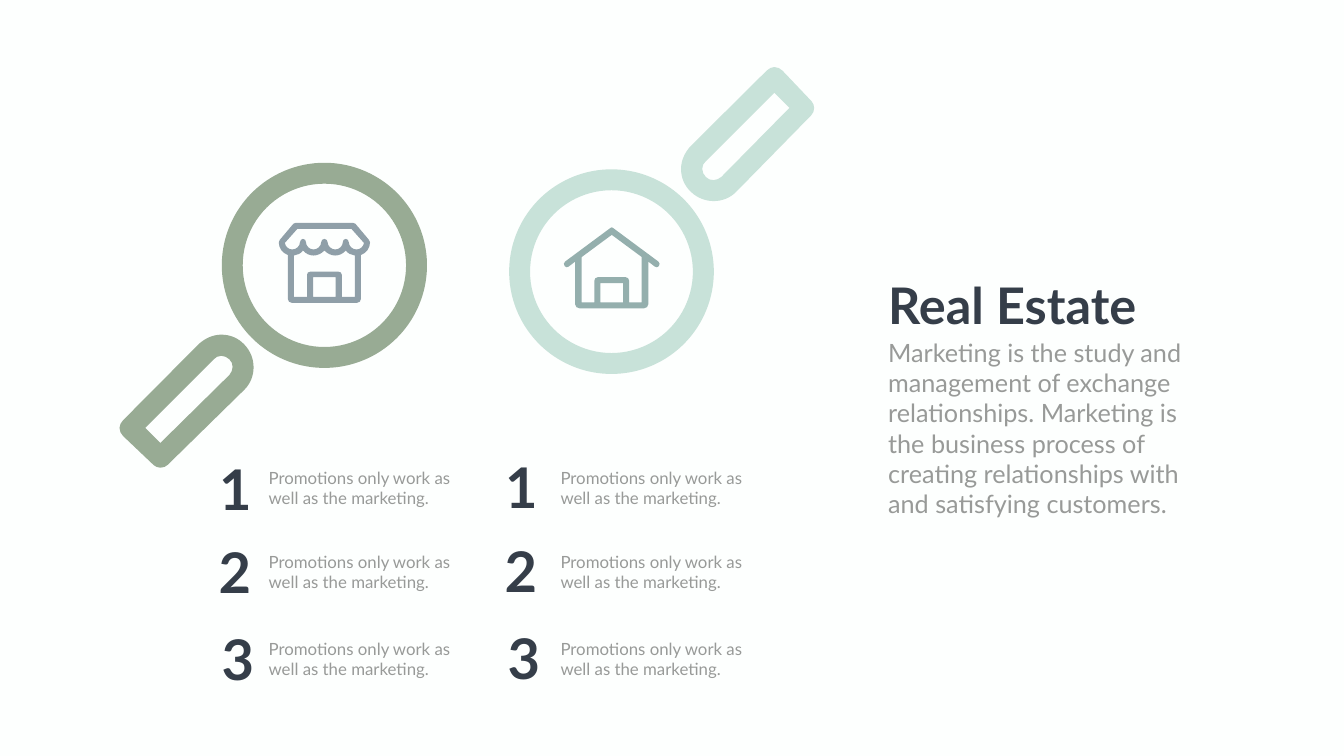
from lxml.etree import SubElement
from pptx import Presentation
from pptx.dml.color import RGBColor
from pptx.enum.shapes import MSO_SHAPE as SHAPE
from pptx.enum.text import MSO_AUTO_SIZE as AUTO
from pptx.oxml.ns import qn
from pptx.util import Inches, Pt

DARK, GREY = "353E49", "989A98"
SAGE, MINT = "98AB94", "C8E2D9"
NOTE = "Promotions only work as well as the marketing."
INTRO = ("Marketing is the study and management of exchange relationships. "
         "Marketing is the business process of creating relationships with "
         "and satisfying customers.")

HANDLE = [
    [(.68, 2.59), (.07, 2.01), (.03, 1.97, 0, 1.91, 0, 1.85),
     (0, 1.8, .03, 1.74, .07, 1.7), (1.57, .19), (1.7, .07, 1.86, 0, 2.02, 0),
     (2.2, 0, 2.36, .07, 2.48, .2), (2.72, .45, 2.72, .85, 2.48, 1.09),
     (.96, 2.58), (.92, 2.62, .87, 2.64, .81, 2.64),
     (.76, 2.64, .72, 2.62, .68, 2.59)],
    [(1.87, .49), (.51, 1.85), (.81, 2.15), (2.18, .8),
     (2.26, .71, 2.27, .57, 2.18, .49), (2.14, .45, 2.08, .42, 2.02, .42),
     (1.96, .42, 1.9, .45, 1.87, .49)],
]
STORE_HALF = [
    [(.905, 0), (.34, 0), (.32, 0, .3, .01, .29, .02), (.02, .34),
     (.01, .36, 0, .37, 0, .39), (0, .5, .07, .6, .18, .64), (.18, 1.51),
     (.18, 1.55, .21, 1.59, .26, 1.59), (.905, 1.59)],
    [(.905, 1.08), (.68, 1.08), (.68, 1.47), (.905, 1.47)],
    [(.905, .97), (.63, .97), (.59, .97, .56, .99, .56, 1.03), (.56, 1.47),
     (.3, 1.47), (.3, .65), (.37, .64, .44, .61, .48, .55),
     (.53, .61, .61, .65, .69, .65), (.77, .65, .85, .61, .905, .55)],
    [(.905, .12), (.37, .12), (.12, .4), (.13, .47, .19, .53, .27, .53),
     (.35, .53, .42, .46, .42, .39), (.42, .35, .45, .32, .48, .32),
     (.52, .32, .54, .35, .54, .39), (.54, .46, .61, .53, .69, .53),
     (.77, .53, .84, .46, .84, .39), (.84, .35, .87, .32, .905, .32)],
]
HOUSE_HALF = [
    [(.955, 0), (.94, 0, .93, .01, .92, .02), (.03, .68),
     (0, .7, 0, .74, .02, .77), (.04, .8, .08, .8, .1, .78), (.23, .68),
     (.23, 1.53), (.23, 1.57, .27, 1.61, .32, 1.61), (.955, 1.61)],
    [(.955, 1.11), (.73, 1.11), (.73, 1.49), (.955, 1.49)],
    [(.955, .99), (.68, .99), (.64, .99, .61, 1.02, .61, 1.06), (.61, 1.49),
     (.36, 1.49), (.36, .59), (.955, .15)],
]


def rgb(value):
    return RGBColor.from_string(value)


def paint(sp, color):
    sp.shadow.inherit = False
    sp.fill.solid()
    sp.fill.fore_color.rgb = rgb(color)
    sp.line.fill.background()


def pairs(loop):
    return [list(zip(seg[::2], seg[1::2])) for seg in loop]


def mirror(loop):
    axis = loop[0][0][0]
    full = list(loop)
    for before, seg in reversed(list(zip(loop, loop[1:]))):
        back = seg[-2::-1] + before[-1:]
        full.append([(2 * axis - x, y) for x, y in back])
    return full


def add_outline(s, left, top, loops, color):
    placed = [[[(Inches(left + x), Inches(top + y)) for x, y in seg]
               for seg in loop] for loop in loops]
    builder = s.shapes.build_freeform(*placed[0][0][0])
    for i, loop in enumerate(placed):
        if i:
            builder.move_to(*loop[0][0])
        builder.add_line_segments([seg[-1] for seg in loop[1:]], close=True)
    sp = builder.convert_to_shape()
    paint(sp, color)
    segments = [seg for loop in placed for seg in loop[1:]]
    for line, seg in zip(list(sp._element.iter(qn("a:lnTo"))), segments):
        if len(seg) == 3:
            line.tag = qn("a:cubicBezTo")
            for i, (x, y) in enumerate(seg[:2]):
                pt = SubElement(line, qn("a:pt"), x=str(x - sp.left), y=str(y - sp.top))
                line.insert(i, pt)


def add_text(shapes, left, top, width, height, text, size, color,
             bold=False, wrap=True):
    sp = shapes.add_textbox(Inches(left), Inches(top), Inches(width), Inches(height))
    tf = sp.text_frame
    tf.text = text
    tf.word_wrap = wrap
    tf.auto_size = AUTO.SHAPE_TO_FIT_TEXT
    font = tf.paragraphs[0].runs[0].font
    font.name, font.size, font.bold = "Lato", Pt(size), bold
    font.color.rgb = rgb(color)


def add_magnifier(s, left, top, size, handle_dx, handle_dy, color, flip=False):
    loops = [pairs(loop) for loop in HANDLE]
    if flip:
        loops = [[[(y, x) for x, y in seg] for seg in loop] for loop in loops]
    add_outline(s, left + handle_dx, top + handle_dy, loops, color)
    ring = s.shapes.add_shape(SHAPE.DONUT, Inches(left), Inches(top),
                              Inches(size), Inches(size))
    ring.adjustments[0] = .415 / size
    paint(ring, color)


def add_icon(s, left, top, halves, color):
    add_outline(s, left, top, [mirror(pairs(half)) for half in halves], color)


def add_steps(s, left, top, note_dx, note_dy):
    rows = ((1, 0, 0), (2, -.01, 1.66), (3, .05, 3.39))
    for n, dx, dy in rows:
        add_text(s.shapes, left + dx, top + dy, .85, 1.45, str(n), 80, DARK,
                 bold=True, wrap=False)
    for n, dx, dy in rows:
        add_text(s.shapes, left + note_dx, top + note_dy + dy, 4.02, .91,
                 NOTE, 24, GREY)


def add_intro(s, left, top):
    shapes = s.shapes.add_group_shape().shapes
    add_text(shapes, left, top, 5.26, 1.31, "Real Estate", 72, DARK,
             bold=True, wrap=False)
    add_text(shapes, left, top + 1.25, 6.54, 3.74, INTRO, 36, GREY)


def main():
    prs = Presentation()
    prs.slide_width, prs.slide_height = Inches(26.66), Inches(15)
    s = prs.slides.add_slide(prs.slide_layouts[6])
    s.background.fill.solid()
    s.background.fill.fore_color.rgb = rgb("FDFFFE")
    add_magnifier(s, 4.4, 3.23, 4.07, -2.03, 3.41, SAGE)
    add_magnifier(s, 10.1, 3.36, 4.06, 3.41, -2.03, MINT, flip=True)
    add_icon(s, 5.53, 4.42, STORE_HALF, "8F9FA8")
    add_icon(s, 11.18, 4.51, HOUSE_HALF, "94AFAD")
    add_steps(s, 4.25, 8.96, .98, .27)
    add_steps(s, 9.92, 8.93, 1.1, .3)
    add_intro(s, 17.52, 5.39)
    prs.save("out.pptx")


if __name__ == "__main__":
    main()
